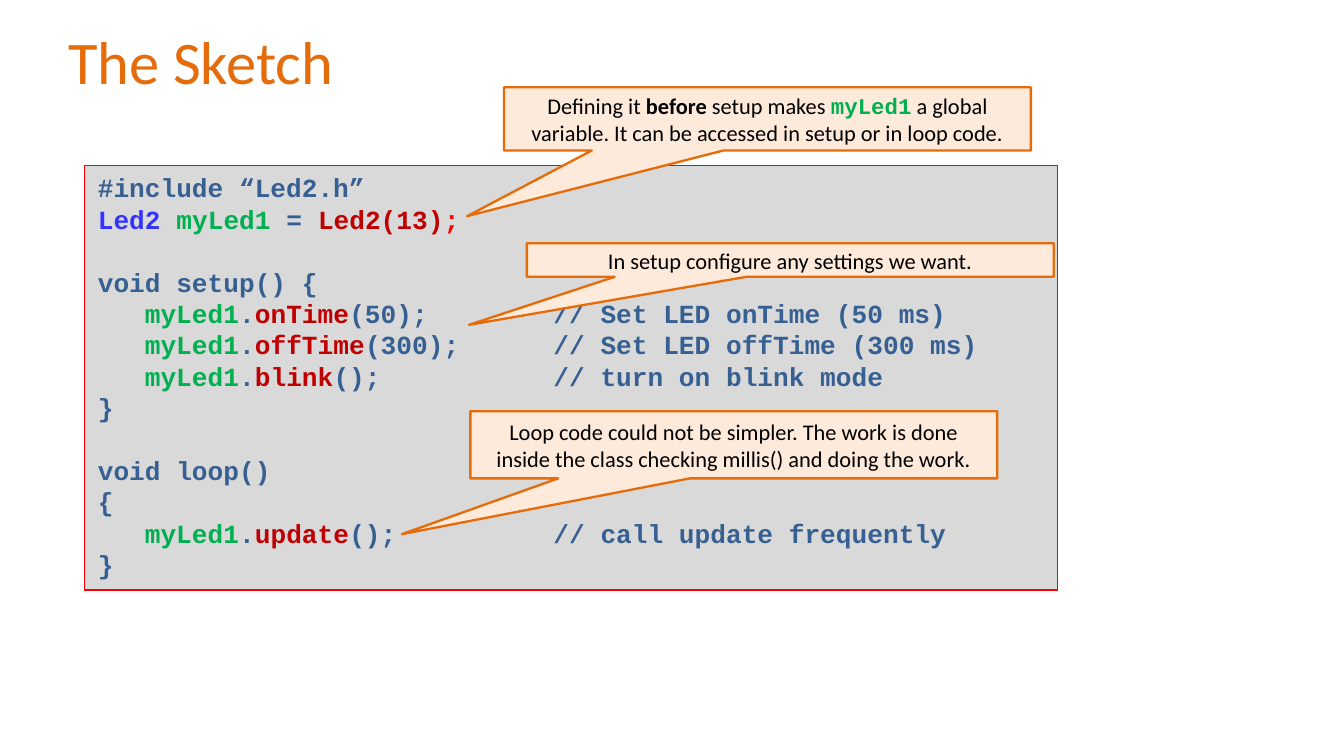
from lxml.etree import SubElement
from pptx import Presentation
from pptx.dml.color import RGBColor
from pptx.enum.shapes import MSO_SHAPE
from pptx.enum.text import MSO_ANCHOR, PP_ALIGN
from pptx.oxml.ns import qn
from pptx.util import Inches, Pt

COLORS = {
    "title": "E46C0A", "edge": "E46C0A", "note": "FDEADA", "text": "000000",
    "panel": "D9D9D9", "frame": "FF0000", "code": "376092", "type": "3333FF",
    "name": "00B050", "call": "C00000", "end": "FF0000",
}
SANS, MONO = "Calibri", "Courier New"
LINE = Pt(16.8)
TABS = (0.35, 3.39)  # code indent, comment column


def color(key):
    return RGBColor.from_string(COLORS[key])


def style(font, face, size, key):
    font.name, font.size = face, Pt(size)
    font.color.rgb = color(key)


def add_run(para, text, key=None):
    run = para.add_run()
    run.text = text
    if key:
        run.font.color.rgb = color(key)
    return run


def add_box(slide, kind, box, fill, edge, width):
    shape = slide.shapes.add_shape(kind, *map(Inches, box))
    shape.shadow.inherit = False
    shape.fill.solid()
    shape.fill.fore_color.rgb = color(fill)
    shape.line.color.rgb = color(edge)
    shape.line.width = Pt(width)
    shape.text_frame.word_wrap = True
    return shape


def add_title(slide, text):
    box = slide.shapes.add_textbox(*map(Inches, (0.41, 0.15, 7.67, 0.6)))
    frame = box.text_frame
    frame.word_wrap = True
    frame.vertical_anchor = MSO_ANCHOR.MIDDLE
    para = frame.paragraphs[0]
    add_run(para, text)
    style(para.font, SANS, 32.4, "title")


def add_tabs(para):
    stops = SubElement(para._p.get_or_add_pPr(), qn("a:tabLst"))
    for stop in TABS:
        SubElement(stops, qn("a:tab"), pos=str(Inches(stop)), algn="l")


def method(name, args, note):
    """One indented call on the LED, with its comment."""
    return [("\tmyLed1", "name"), (".", "code"), (name, "call"),
            (f"{args};\t// {note}", "code")]


def add_code(slide, blocks):
    shape = add_box(slide, MSO_SHAPE.RECTANGLE, (0.63, 1.23, 7.24, 3.16),
                    "panel", "frame", 0.75)
    frame = shape.text_frame
    frame.vertical_anchor = MSO_ANCHOR.TOP
    para = None
    for block in blocks:
        for row, line in enumerate(block):
            first = para is None
            para = frame.paragraphs[0] if first else frame.add_paragraph()
            para.alignment = PP_ALIGN.LEFT
            para.line_spacing = LINE
            # A gap of one line parts the blocks
            para.space_before = LINE if row == 0 and not first else Pt(0)
            add_tabs(para)
            style(para.font, MONO, 14, "code")
            para.font.bold = True
            for text, key in line:
                add_run(para, text, key)


def add_note(slide, box, tip, parts):
    shape = add_box(slide, MSO_SHAPE.RECTANGULAR_CALLOUT, box,
                    "note", "edge", 1.25)
    shape.adjustments[0], shape.adjustments[1] = tip
    frame = shape.text_frame
    frame.vertical_anchor = MSO_ANCHOR.MIDDLE
    para = frame.paragraphs[0]
    para.alignment = PP_ALIGN.CENTER
    style(para.font, SANS, 12, "text")
    for text, kind in parts:
        run = add_run(para, text, "name" if kind == "name" else "text")
        if kind != "text":
            run.font.bold = True
        if kind == "name":
            run.font.name = MONO


def main():
    deck = Presentation()
    deck.slide_width = Inches(10)
    deck.slide_height = deck.slide_width * 9 // 16
    slide = deck.slides.add_slide(deck.slide_layouts[6])
    add_title(slide, "The Sketch")

    # Code panel, block by block
    add_code(slide, [
        [[("#include “Led2.h”", "code")],
         [("Led2 ", "type"), ("myLed1", "name"), (" = ", "code"),
          ("Led2(13)", "call"), (";", "end")]],
        [[("void setup() {", "code")],
         method("onTime", "(50)", "Set LED onTime (50 ms)"),
         method("offTime", "(300)", "Set LED offTime (300 ms)"),
         method("blink", "()", "turn on blink mode"),
         [("}", "code")]],
        [[("void loop()", "code")],
         [("{", "code")],
         method("update", "()", "call update frequently"),
         [("}", "code")]],
    ])

    # Callouts that point into the code
    add_note(slide, (3.75, 0.65, 3.92, 0.47), (-0.57, 1.54), [
        ("Defining it ", "text"), ("before", "bold"),
        (" setup makes ", "text"), ("myLed1", "name"),
        (" a global variable. It can be accessed in setup or in loop code.",
         "text")])
    add_note(slide, (3.92, 1.81, 3.92, 0.25), (-0.61, 1.93), [
        ("In setup configure any settings we want.", "text")])
    add_note(slide, (3.5, 3.06, 3.92, 0.5), (-0.63, 1.33), [
        ("Loop code could not be simpler. The work is done inside the class "
         "checking millis() and doing the work.", "text")])

    deck.save("out.pptx")


if __name__ == "__main__":
    main()
